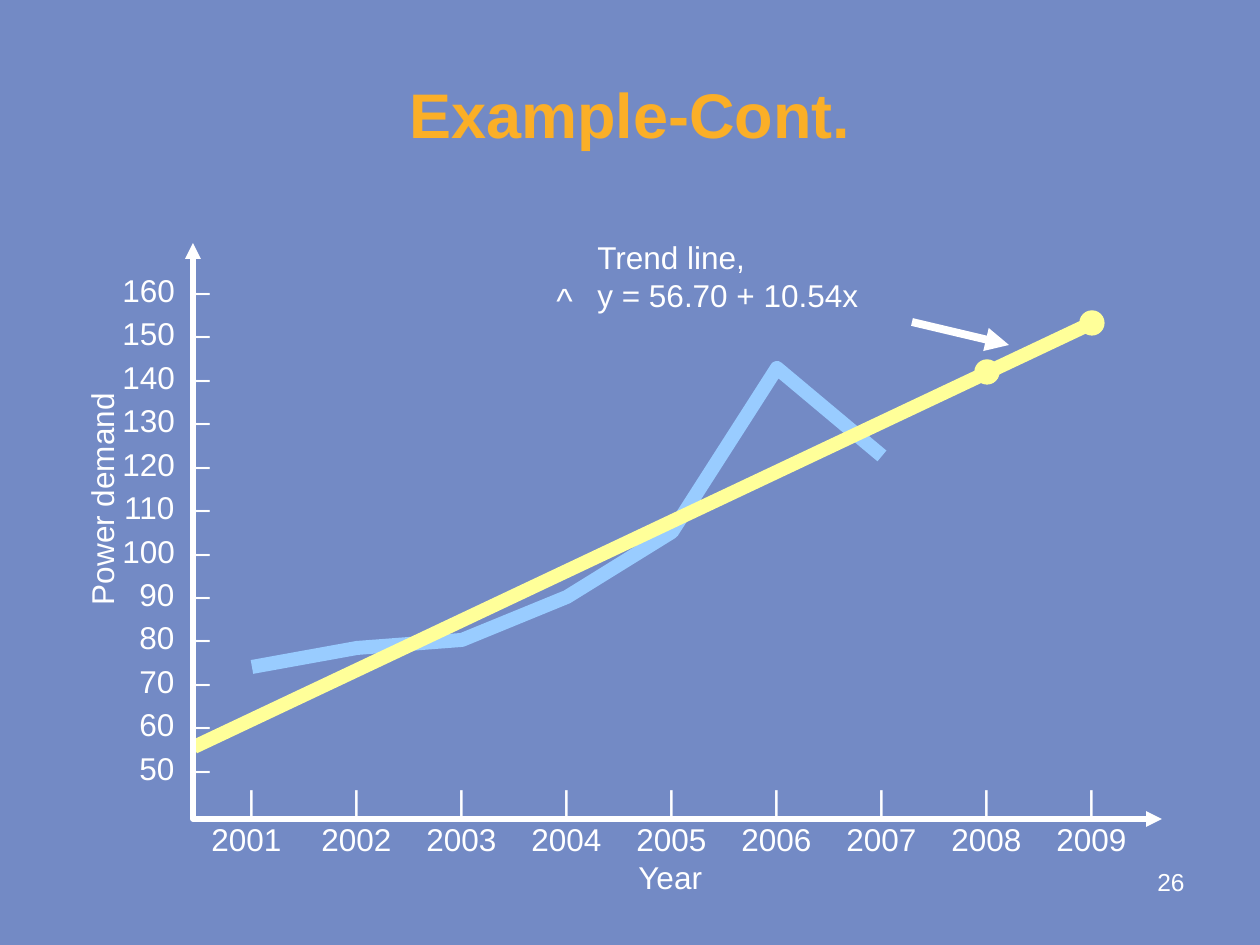
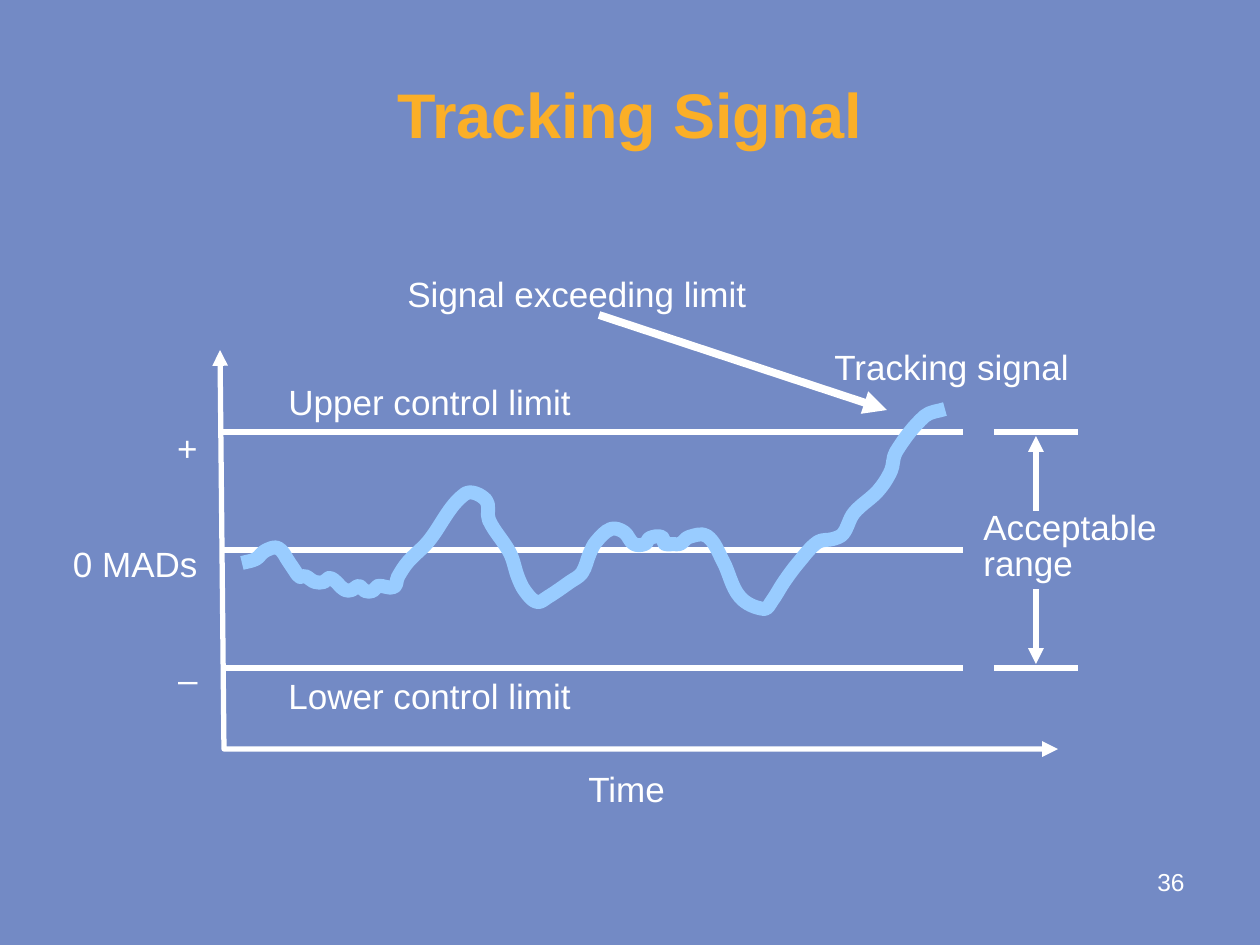
import math

import lxml.etree
import pptx
import pptx.dml.color
import pptx.enum.shapes
import pptx.enum.text
import pptx.oxml.ns
import pptx.util

EMU_PER_PX = 914400 / 126
FONT = "Arial"
BACKGROUND = "738AC5"
GOLD = "FBAF27"
WHITE = "FFFFFF"
YELLOW = "FFFF99"
SKY = "99CCFF"
LEFT = pptx.enum.text.PP_ALIGN.LEFT
CENTER = pptx.enum.text.PP_ALIGN.CENTER
RIGHT = pptx.enum.text.PP_ALIGN.RIGHT
AXIS_WIDTH, POINTER_WIDTH, CURVE_WIDTH = 3, 4.5, 8

SIGNAL = [
    (242, 563), (256, 559), (265, 551), (278, 548), (289, 562), (295, 571),
    (300, 577), (305, 576), (315, 582), (324, 582), (329, 578), (334, 580),
    (345, 590), (352, 590), (359, 586), (365, 591), (373, 591), (378, 586),
    (394, 587), (398, 577), (408, 562), (428, 542), (465, 494), (486, 500),
    (489, 520), (510, 553), (518, 577), (525, 591), (537, 602), (548, 597),
    (570, 582), (582, 573), (590, 553), (596, 542), (611, 529), (624, 532),
    (634, 544), (645, 544), (650, 538), (662, 537), (665, 544), (673, 544),
    (680, 544), (689, 537), (707, 536), (723, 561), (740, 597), (764, 609),
    (772, 601), (784, 582), (799, 562), (818, 542), (833, 539), (843, 534),
    (854, 513), (878, 491), (891, 471), (896, 452), (925, 416), (945, 409),
]


def px(length):
    return pptx.util.Emu(round(length * EMU_PER_PX))


def color(hex_string):
    return pptx.dml.color.RGBColor.from_string(hex_string)


def add_xml(parent, tag, **attributes):
    return lxml.etree.SubElement(parent, pptx.oxml.ns.qn(tag), **attributes)


def step_along(origin, before, after, length):
    span = math.dist(before, after)
    return tuple(o + (a - b) / span * length for o, b, a in zip(origin, before, after))


def curve_points(knots):
    padded = [knots[0], *knots, knots[-1]]
    points = [knots[0]]
    for before, start, end, after in zip(padded, padded[1:], padded[2:], padded[3:]):
        reach = math.dist(start, end) / 3
        points.append(step_along(start, before, end, reach))
        points.append(step_along(end, after, start, reach))
        points.append(end)
    return points


class Deck:
    def __init__(self):
        self.presentation = pptx.Presentation()
        self.presentation.slide_width = px(1260)
        self.presentation.slide_height = px(945)
        fill = self.presentation.slide_master.background.fill
        fill.solid()
        fill.fore_color.rgb = color(BACKGROUND)
        self.slide = None

    def add_slide(self, title, number):
        self.slide = self.presentation.slides.add_slide(self.presentation.slide_layouts[5])
        shape = self.slide.shapes.title
        shape.left, shape.top, shape.width, shape.height = map(px, (63, 38, 1134, 151))
        shape.text_frame.text = title
        shape.text_frame.vertical_anchor = pptx.enum.text.MSO_ANCHOR.MIDDLE
        self.format(shape.text_frame.paragraphs[0], 36, CENTER, GOLD, True)
        self.text(number, 1061, 861, 136, 66, 14, RIGHT, wrap=True)

    def format(self, paragraph, size, align, hex_string=WHITE, bold=False):
        paragraph.alignment = align
        for run in paragraph.runs:
            run.font.name = FONT
            run.font.size = pptx.util.Pt(size)
            run.font.bold = bold
            run.font.color.rgb = color(hex_string)

    def text(self, content, left, top, width, height, size=20, align=LEFT,
             spacing=None, wrap=False, tabs=(), rotation=0):
        shape = self.slide.shapes.add_textbox(*map(px, (left, top, width, height)))
        shape.rotation = rotation
        frame = shape.text_frame
        frame.text = content
        frame.word_wrap = wrap
        for paragraph in frame.paragraphs:
            if spacing:
                paragraph.line_spacing = spacing
            if tabs:
                tab_list = add_xml(paragraph._p.get_or_add_pPr(), "a:tabLst")
                for position, kind in tabs:
                    add_xml(tab_list, "a:tab", pos=str(px(position)), algn=kind)
            self.format(paragraph, size, align)

    def stroke(self, shape, hex_string, width, head, tail):
        shape.line.color.rgb = color(hex_string)
        shape.line.width = pptx.util.Pt(width)
        outline = shape._element.spPr.find(pptx.oxml.ns.qn("a:ln"))
        add_xml(outline, "a:round")
        if head:
            add_xml(outline, "a:headEnd", type="triangle")
        if tail:
            add_xml(outline, "a:tailEnd", type="triangle")

    def line(self, start, end, hex_string=WHITE, width=AXIS_WIDTH, head=False, tail=False):
        straight = pptx.enum.shapes.MSO_CONNECTOR.STRAIGHT
        connector = self.slide.shapes.add_connector(straight, *map(px, (*start, *end)))
        self.stroke(connector, hex_string, width, head, tail)
        add_xml(connector._element.spPr, "a:effectLst")

    def polyline(self, points, hex_string=WHITE, width=AXIS_WIDTH, arrows=False):
        first, *others = [tuple(map(px, point)) for point in points]
        builder = self.slide.shapes.build_freeform(*first)
        builder.add_line_segments(others, close=False)
        shape = builder.convert_to_shape()
        shape.shadow.inherit = False
        shape.fill.background()
        self.stroke(shape, hex_string, width, arrows, arrows)
        return shape

    def curve(self, knots, hex_string, width):
        shape = self.polyline(curve_points(knots), hex_string, width)
        segments = list(shape._element.iter(pptx.oxml.ns.qn("a:lnTo")))
        for index in range(0, len(segments), 3):
            bezier = add_xml(segments[index].getparent(), "a:cubicBezTo")
            for segment in segments[index:index + 3]:
                bezier.append(segment[0])
                segment.getparent().remove(segment)

    def dot(self, center, diameter, hex_string):
        left, top = (coordinate - diameter / 2 for coordinate in center)
        oval = pptx.enum.shapes.MSO_SHAPE.OVAL
        shape = self.slide.shapes.add_shape(oval, *map(px, (left, top, diameter, diameter)))
        shape.shadow.inherit = False
        shape.fill.solid()
        shape.fill.fore_color.rgb = color(hex_string)
        shape.line.color.rgb = color(hex_string)
        shape.line.width = pptx.util.Pt(0.75)


def add_trend_slide(deck):
    deck.add_slide("Example-Cont.", "26")
    year_x = [252 + 105 * index for index in range(9)]
    demand_y = (667, 648, 640, 597, 532, 368, 456)
    deck.polyline(list(zip(year_x, demand_y)), SKY, CURVE_WIDTH)
    forecasts = [(year_x[7], 372), (year_x[8], 323)]
    deck.line(forecasts[1], (194, 747), YELLOW, CURVE_WIDTH)
    for forecast in forecasts:
        deck.dot(forecast, 24, YELLOW)

    deck.polyline([(193, 243), (193, 819), (1162, 819)], arrows=True)
    ticks = "\t|" * len(year_x)
    years = "\t".join(str(year) for year in range(2001, 2010))
    deck.text(f"{ticks}\n{years}", 199, 776, 940, 88, 18, wrap=True,
              tabs=[(x - 212, "ctr") for x in year_x])
    scale = "\n".join(f"\t{value}\t–" for value in range(160, 40, -10))
    deck.text(scale, 110, 259, 130, 534, 18, spacing=1.15, wrap=True,
              tabs=[(52, "r"), (70, "l")])
    deck.text("Year", 626, 852, 92, 50, 18)
    deck.text("Power demand", -17, 474, 237, 50, 18, rotation=270)

    deck.text("Trend line,\ny = 56.70 + 10.54x", 585, 232, 286, 88, 18)
    deck.text("^", 544, 272, 42, 55)
    deck.line((912, 322), (1009, 345), width=POINTER_WIDTH, tail=True)


def add_tracking_slide(deck):
    deck.add_slide("Tracking Signal", "36")
    upper, middle, lower = (432 + 118 * index for index in range(3))
    deck.polyline([(220, 350), (224, 749), (1058, 749)], arrows=True)
    for y in (upper, middle, lower):
        deck.line((222, y), (963, y))
    deck.text("+\n0 MADs\n–", 60, 347, 150, 359, align=RIGHT, spacing=2.75)
    for label, top in (("Upper control limit", 374), ("Lower control limit", 668)):
        deck.text(label, 276, top, 340, 55, wrap=True)
    deck.text("Time", 576, 761, 103, 55)
    deck.text("Signal exceeding limit", 395, 266, 380, 55, wrap=True)
    deck.line((599, 315), (887, 410), width=POINTER_WIDTH, tail=True)
    deck.curve(SIGNAL, SKY, CURVE_WIDTH)
    deck.text("Tracking signal", 822, 339, 280, 55, wrap=True)

    deck.text("Acceptable range", 971, 506, 229, 84, spacing=0.85, wrap=True)
    for limit, inward in ((upper, 1), (lower, -1)):
        deck.line((994, limit), (1078, limit))
        deck.line((1036, limit + 4 * inward), (1036, limit + 79 * inward), head=True)


def main():
    deck = Deck()
    add_trend_slide(deck)
    add_tracking_slide(deck)
    deck.presentation.save("out.pptx")


if __name__ == "__main__":
    main()
